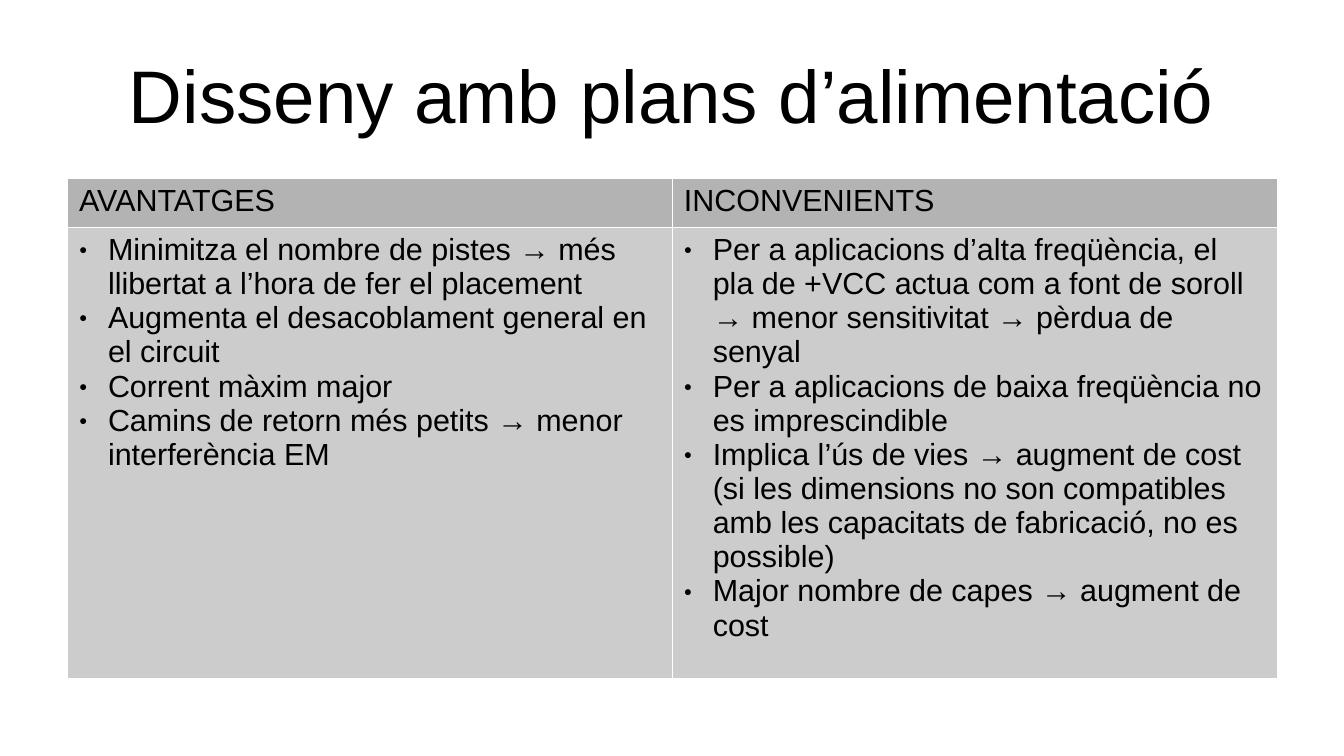
"""Builds a slide comparing the pros and cons of power planes in PCB design."""
from lxml.etree import SubElement
from pptx import Presentation
from pptx.dml.color import RGBColor
from pptx.enum.text import MSO_ANCHOR, PP_ALIGN
from pptx.oxml.ns import qn
from pptx.util import Cm, Pt

TITLE = "Disseny amb plans d’alimentació"
COLUMNS = {
    "AVANTATGES": [
        "Minimitza el nombre de pistes → més llibertat a l’hora de fer el placement",
        "Augmenta el desacoblament general en el circuit",
        "Corrent màxim major",
        "Camins de retorn més petits → menor interferència EM",
    ],
    "INCONVENIENTS": [
        "Per a aplicacions d’alta freqüència, el pla de +VCC actua com a font de soroll "
        "→ menor sensitivitat → pèrdua de senyal",
        "Per a aplicacions de baixa freqüència no es imprescindible",
        "Implica l’ús de vies → augment de cost (si les dimensions no son compatibles "
        "amb les capacitats de fabricació, no es possible)",
        "Major nombre de capes → augment de cost",
    ],
}
BLACK, WHITE, HEADER_GREY, BODY_GREY = "000000", "FFFFFF", "B3B3B3", "CCCCCC"
LEFT, WIDTH = 1.4, 25.2
TITLE_TOP, TITLE_HEIGHT = 0.63, 2.64
TABLE_TOP, ROW_HEIGHTS = 3.7, (1, 9.4)
BULLET_INDENT = 0.6
TITLE_FRAME = {"margin_left": 0, "margin_right": 0, "margin_top": 0, "margin_bottom": 0,
               "word_wrap": True, "vertical_anchor": MSO_ANCHOR.MIDDLE}
CELL_MARGINS = {"margin_left": Cm(0.25), "margin_right": Cm(0.25),
                "margin_top": Cm(0.13), "margin_bottom": Cm(0.13)}


def color(value):
    return RGBColor.from_string(value)


def apply(target, values):
    for name, value in values.items():
        setattr(target, name, value)


def write(p, text, size):
    r = p.add_run()
    r.text = text
    apply(r.font, {"name": "Arial", "size": Pt(size)})
    r.font.color.rgb = color(BLACK)


def add_bullet(p):
    pPr = p._p.get_or_add_pPr()
    pPr.set("marL", str(Cm(BULLET_INDENT)))
    pPr.set("indent", str(-Cm(BULLET_INDENT)))
    bullet_color = SubElement(pPr, qn("a:buClr"))
    SubElement(bullet_color, qn("a:srgbClr"), val=BLACK)
    SubElement(pPr, qn("a:buSzPct"), val="45000")
    SubElement(pPr, qn("a:buFont"), typeface="Arial")
    SubElement(pPr, qn("a:buChar"), char="●")


def add_borders(cell):
    tcPr = cell._tc.get_or_add_tcPr()
    for side in ("lnL", "lnR", "lnT", "lnB"):
        line = SubElement(tcPr, qn(f"a:{side}"), w=str(Pt(0.06)))
        line_fill = SubElement(line, qn("a:solidFill"))
        SubElement(line_fill, qn("a:srgbClr"), val=WHITE)


def fill_cell(cell, texts, fill, bulleted):
    add_borders(cell)
    cell.fill.solid()
    cell.fill.fore_color.rgb = color(fill)
    apply(cell, CELL_MARGINS)
    tf = cell.text_frame
    for i, text in enumerate(texts):
        p = tf.add_paragraph() if i else tf.paragraphs[0]
        if bulleted:
            add_bullet(p)
        write(p, text, 18)


def main():
    prs = Presentation()
    apply(prs, {"slide_width": Cm(28), "slide_height": Cm(15.75)})
    s = prs.slides.add_slide(prs.slide_layouts[6])

    title = s.shapes.add_textbox(Cm(LEFT), Cm(TITLE_TOP), Cm(WIDTH), Cm(TITLE_HEIGHT))
    tf = title.text_frame
    apply(tf, TITLE_FRAME)
    p = tf.paragraphs[0]
    p.alignment = PP_ALIGN.CENTER
    write(p, TITLE, 44)

    table = s.shapes.add_table(2, len(COLUMNS), Cm(LEFT), Cm(TABLE_TOP),
                               Cm(WIDTH), Cm(sum(ROW_HEIGHTS))).table
    for row, height in zip(table.rows, ROW_HEIGHTS):
        row.height = Cm(height)
    for c, (heading, points) in enumerate(COLUMNS.items()):
        table.columns[c].width = Cm(WIDTH / len(COLUMNS))
        fill_cell(table.cell(0, c), [heading], HEADER_GREY, False)
        fill_cell(table.cell(1, c), points, BODY_GREY, True)

    prs.save("out.pptx")


if __name__ == "__main__":
    main()
